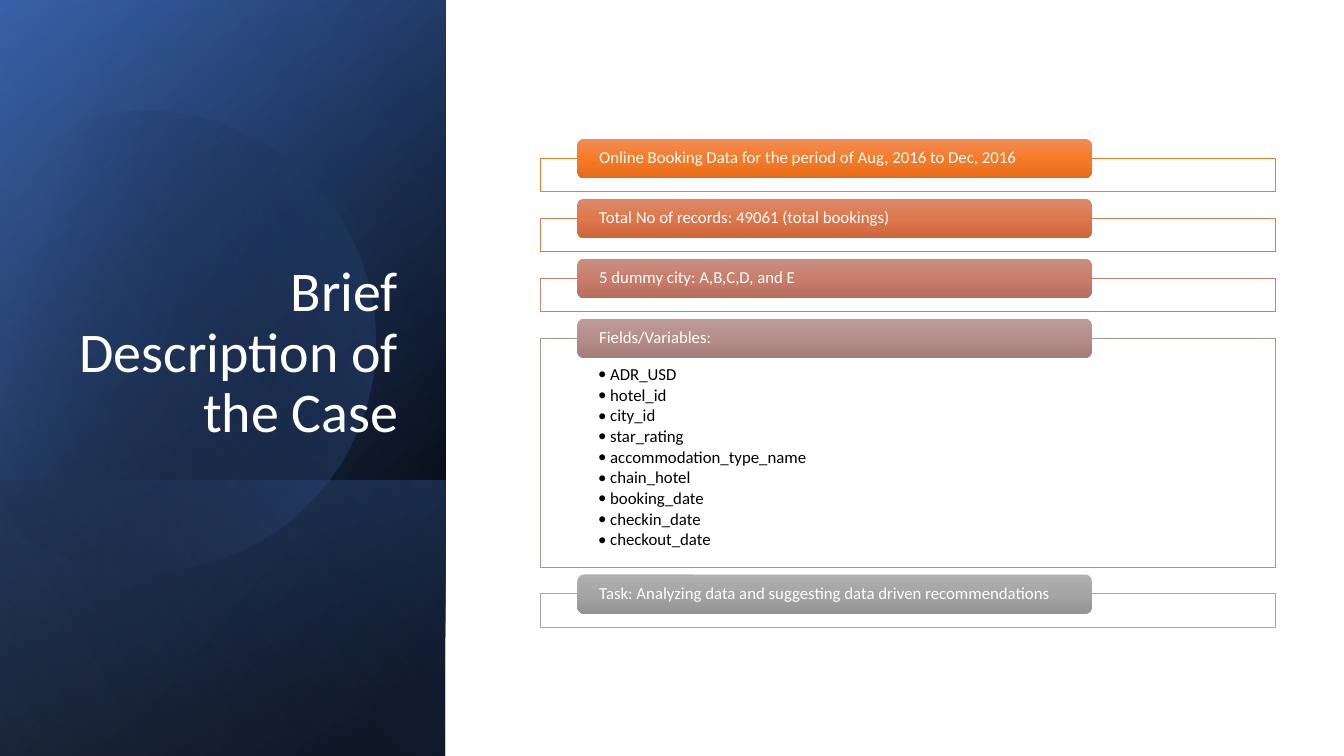
from dataclasses import dataclass
from itertools import pairwise
from math import cos, radians, sin, tan

from pptx import Presentation
from pptx.dml.color import RGBColor
from pptx.enum.shapes import MSO_SHAPE
from pptx.enum.text import MSO_ANCHOR as Anchor, MSO_AUTO_SIZE as AutoSize, PP_ALIGN as Align
from pptx.oxml import parse_xml
from pptx.oxml.ns import nsdecls, qn
from pptx.shapes.autoshape import Shape
from pptx.slide import Slide
from pptx.text.text import TextFrame
from pptx.util import Pt

PAGE_WIDTH, PAGE_HEIGHT = 960, 540
PANEL_WIDTH = 318.2
BOX_LEFT, BOX_WIDTH = 385.9, 525
BUTTON_LEFT, BUTTON_WIDTH, BUTTON_HEIGHT = 412.4, 367.4, 28
BOX_DROP = 13.8
ROW_GAP = 5.3
FIRST_ROW_TOP = 99.2


@dataclass
class Stop:
    position: int
    color: str
    alpha: int = 100


@dataclass
class Panel:
    top: float
    angle: int
    stops: list[Stop]


@dataclass
class Section:
    label: str
    outline: str
    shades: tuple[str, str, str]
    box_height: float = 23.7
    items: tuple[str, ...] = ()


PANELS = [
    Panel(0, 50, [Stop(8, "000000"), Stop(100, "2F5597")]),
    Panel(0, 30, [Stop(0, "000000", 0), Stop(99, "4472C4", 46)]),
    Panel(343, 130, [Stop(2, "4472C4", 29), Stop(100, "000000", 30)]),
]
DISC_STOPS = [Stop(29, "000000", 0), Stop(100, "4472C4", 43)]
SHEEN = Panel(0, 120, [Stop(0, "000000", 0), Stop(99, "8FAADC", 11)])

FIELDS = ("ADR_USD", "hotel_id", "city_id", "star_rating", "accommodation_type_name",
          "chain_hotel", "booking_date", "checkin_date", "checkout_date")
SECTIONS = [
    Section("Online Booking Data for the period of Aug, 2016 to Dec, 2016",
            "ED7D31", ("F18C57", "F67B28", "E56C19")),
    Section("Total No of records: 49061 (total bookings)",
            "D87A51", ("DD8A6A", "DE774B", "CD673B")),
    Section("5 dummy city: A,B,C,D, and E",
            "C48170", ("CB8F81", "C97E6B", "B76D5B")),
    Section("Fields/Variables:",
            "B4908B", ("BC9C99", "B68E89", "A47C78"), 163.7, FIELDS),
    Section("Task: Analyzing data and suggesting data driven recommendations",
            "A5A5A5", ("AFAFAF", "A5A5A5", "939393")),
]


def rgb(color: str) -> RGBColor:
    return RGBColor.from_string(color)


def fill_gradient(shape: Shape, stops: list[Stop], angle: int) -> None:
    """Fill with a linear gradient that turns with the shape; remove line and shadow."""
    shape.shadow.inherit = False
    shape.line.fill.background()
    shape.fill.gradient()
    marks = "".join(
        f'<a:gs pos="{stop.position * 1000}"><a:srgbClr val="{stop.color}">'
        f'<a:alpha val="{stop.alpha * 1000}"/></a:srgbClr></a:gs>' for stop in stops)
    gradient = parse_xml(
        f'<a:gradFill {nsdecls("a")} rotWithShape="1"><a:gsLst>{marks}</a:gsLst>'
        f'<a:lin ang="{angle * 60000}" scaled="0"/></a:gradFill>')
    properties = shape._element.spPr
    properties.replace(properties.find(qn("a:gradFill")), gradient)


def format_frame(frame: TextFrame, **values: object) -> None:
    for name, value in values.items():
        setattr(frame, name, value)


def write_lines(frame: TextFrame, lines: tuple[str, ...], size: float, color: str,
                align: Align = Align.LEFT, space_after: float = 0, level: int = 0) -> None:
    frame.text = "\n".join(lines)
    for para in frame.paragraphs:
        for name, value in {"alignment": align, "line_spacing": 0.9, "level": level,
                            "space_before": Pt(0), "space_after": Pt(space_after)}.items():
            setattr(para, name, value)
        font = para.runs[0].font
        font.name, font.size = "Calibri", Pt(size)
        font.color.rgb = rgb(color)


def add_bullets(frame: TextFrame, indent: float) -> None:
    for para in frame.paragraphs:
        properties = para._p.get_or_add_pPr()
        properties.set("marL", str(Pt(indent)))
        properties.set("indent", str(-Pt(indent)))
        for mark in ('buFont {} typeface="Calibri"', 'buChar {} char="•"'):
            properties.append(parse_xml(f'<a:{mark.format(nsdecls("a"))}/>'))


def add_panel(page: Slide, panel: Panel) -> None:
    """Add a mirrored, quarter-turned rectangle reaching from panel.top to the page bottom."""
    height = PAGE_HEIGHT - panel.top
    left = (PANEL_WIDTH - height) / 2
    top = panel.top + (height - PANEL_WIDTH) / 2
    shape = page.shapes.add_shape(MSO_SHAPE.RECTANGLE, Pt(left), Pt(top),
                                  Pt(height), Pt(PANEL_WIDTH))
    shape.rotation = 90
    shape._element.spPr.find(qn("a:xfrm")).set("flipH", "1")
    fill_gradient(shape, panel.stops, panel.angle)


def add_disc(page: Slide) -> None:
    """Add the tilted disc whose left side is cut off by a chord, drawn as Bezier arcs."""
    center_x, center_y, radius = 103.3, 240.8, 164.5

    def rim_point(turn: float, reach: float = 0) -> tuple[Pt, Pt]:
        """Return the rim point at an angle, moved along its tangent by reach radii."""
        x, y = cos(radians(turn)), sin(radians(turn))
        return Pt(center_x + radius * (x - reach * y)), Pt(center_y + radius * (y + reach * x))

    turns = (-118, -90, 0, 90, 150)
    points = []
    for start, end in pairwise(turns):
        reach = 4 / 3 * tan(radians(end - start) / 4)
        points += [rim_point(start, reach), rim_point(end, -reach), rim_point(end)]
    builder = page.shapes.build_freeform(*rim_point(turns[0]))
    builder.add_line_segments(points, close=True)
    disc = builder.convert_to_shape()
    lines = list(disc._element.iter(qn("a:lnTo")))
    for first in range(0, len(points), 3):
        curve = parse_xml(f'<a:cubicBezTo {nsdecls("a")}/>')
        lines[first].addprevious(curve)
        for line in lines[first:first + 3]:
            curve.append(line[0])
            line.getparent().remove(line)
    disc.rotation = 343.9
    fill_gradient(disc, DISC_STOPS, 30)


def add_title(page: Slide) -> None:
    title = page.shapes.title
    title.left, title.top, title.width, title.height = Pt(46), Pt(132.6), Pt(245.5), Pt(188.6)
    format_frame(title.text_frame, word_wrap=True, auto_size=AutoSize.NONE,
                 vertical_anchor=Anchor.BOTTOM)
    write_lines(title.text_frame, ("Brief Description of the Case",), 40, "FFFFFF", Align.RIGHT)
    tree = page.shapes._spTree
    tree.remove(title._element)
    tree.append(title._element)


def add_section(page: Slide, section: Section, top: float) -> None:
    box = page.shapes.add_shape(MSO_SHAPE.RECTANGLE, Pt(BOX_LEFT), Pt(top + BOX_DROP),
                                Pt(BOX_WIDTH), Pt(section.box_height))
    box.shadow.inherit = False
    box.fill.solid()
    box.fill.fore_color.rgb = rgb("FFFFFF")
    box.line.color.rgb = rgb(section.outline)
    box.line.width = Pt(0.5)
    if section.items:
        format_frame(box.text_frame, word_wrap=True, vertical_anchor=Anchor.TOP,
                     margin_left=Pt(41.3), margin_right=Pt(41.3),
                     margin_top=Pt(20), margin_bottom=Pt(6.5))
        write_lines(box.text_frame, section.items, 12, "000000", space_after=1.8, level=1)
        add_bullets(box.text_frame, 8.64)

    button = page.shapes.add_shape(MSO_SHAPE.ROUNDED_RECTANGLE, Pt(BUTTON_LEFT), Pt(top),
                                   Pt(BUTTON_WIDTH), Pt(BUTTON_HEIGHT))
    stops = [Stop(position, color) for position, color in zip((0, 50, 100), section.shades)]
    fill_gradient(button, stops, 90)
    format_frame(button.text_frame, word_wrap=True, vertical_anchor=Anchor.MIDDLE,
                 margin_left=Pt(14.2), margin_right=Pt(14.2),
                 margin_top=Pt(0), margin_bottom=Pt(0))
    write_lines(button.text_frame, (section.label,), 12, "FFFFFF")


def main() -> None:
    deck = Presentation()
    deck.slide_width, deck.slide_height = Pt(PAGE_WIDTH), Pt(PAGE_HEIGHT)
    page = deck.slides.add_slide(deck.slide_layouts[5])
    for panel in PANELS:
        add_panel(page, panel)
    add_disc(page)
    add_panel(page, SHEEN)
    add_title(page)
    top = FIRST_ROW_TOP
    for section in SECTIONS:
        add_section(page, section, top)
        top += BOX_DROP + section.box_height + ROW_GAP
    deck.save("out.pptx")


if __name__ == "__main__":
    main()
